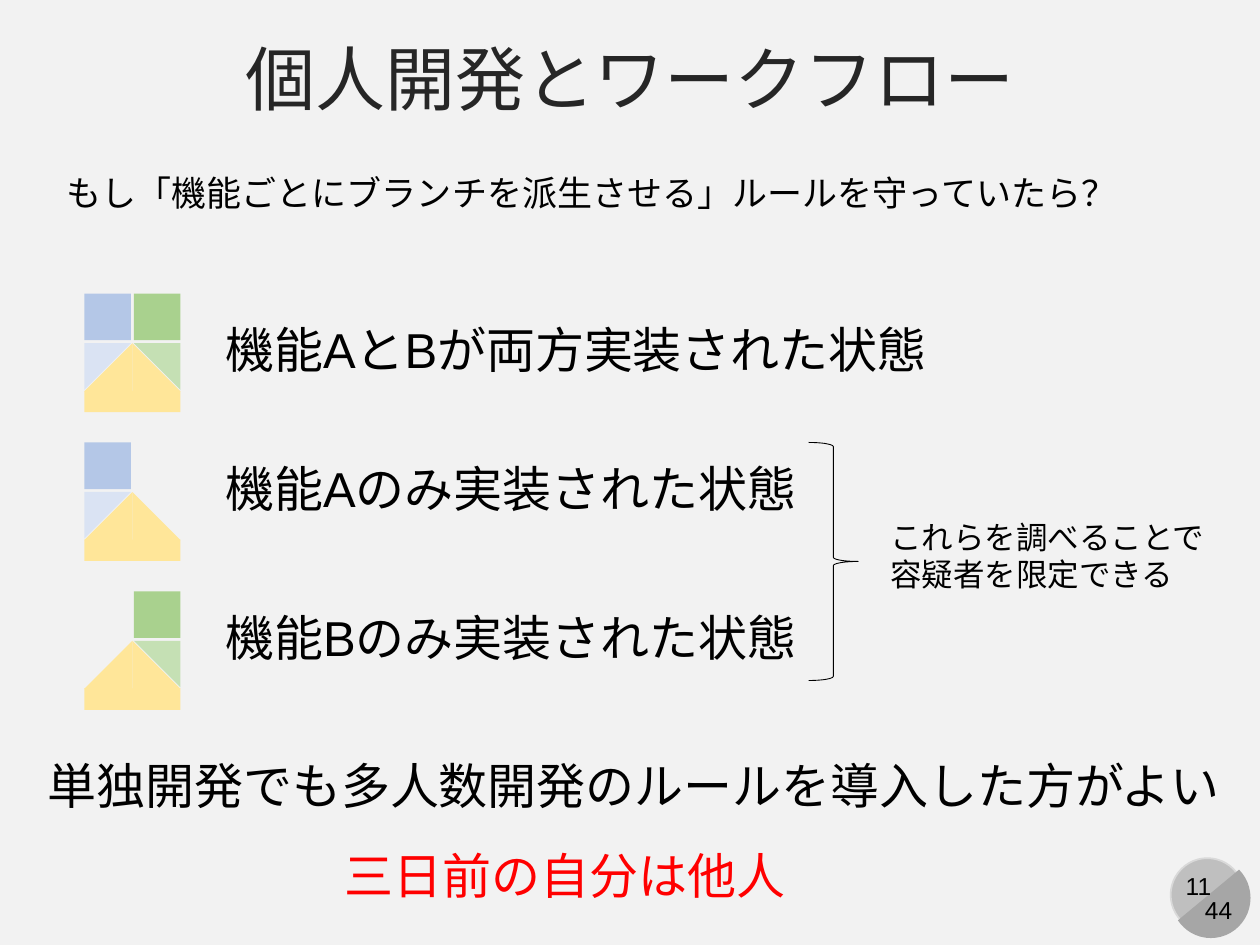
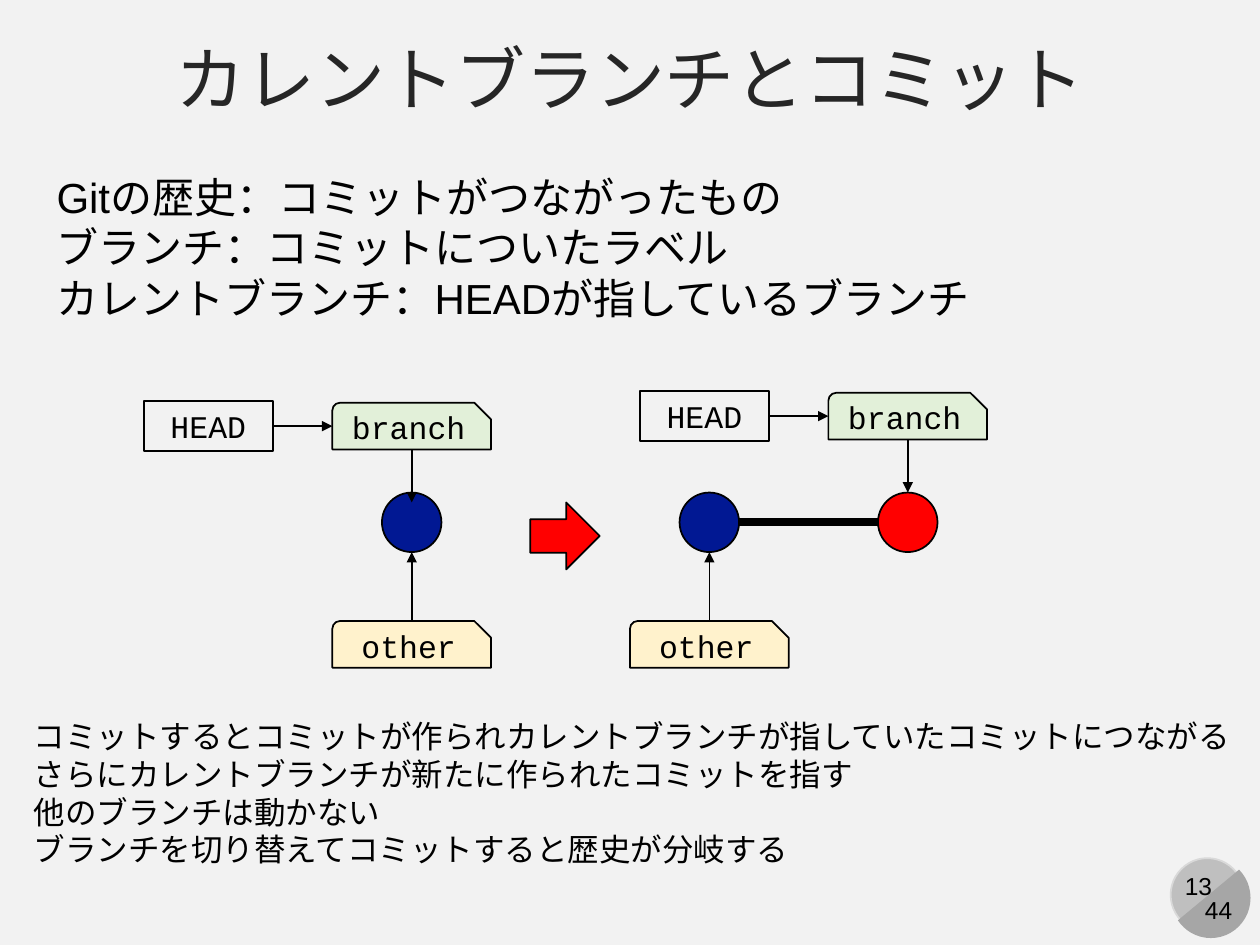
from pptx import Presentation
from pptx.dml.color import RGBColor
from pptx.enum.shapes import MSO_CONNECTOR, MSO_SHAPE
from pptx.enum.text import MSO_ANCHOR, PP_ALIGN
from pptx.oxml.xmlchemy import OxmlElement
from pptx.util import Cm, Pt

RECT, OVAL, TRI = MSO_SHAPE.RECTANGLE, MSO_SHAPE.OVAL, MSO_SHAPE.RIGHT_TRIANGLE
CHORD, BRACE = MSO_SHAPE.CHORD, MSO_SHAPE.RIGHT_BRACE
SNIP, ARROW = MSO_SHAPE.SNIP_ROUND_RECTANGLE, MSO_SHAPE.RIGHT_ARROW
STRAIGHT = MSO_CONNECTOR.STRAIGHT
LEFT, CENTER = PP_ALIGN.LEFT, PP_ALIGN.CENTER
TOP, MIDDLE = MSO_ANCHOR.TOP, MSO_ANCHOR.MIDDLE

PAPER = RGBColor(0xF2, 0xF2, 0xF2)
BLACK = RGBColor(0, 0, 0)
INK = RGBColor(0x26, 0x26, 0x26)
RED = RGBColor(0xFF, 0, 0)
NAVY = RGBColor(0x01, 0x18, 0x93)
RING = RGBColor(0xD9, 0xD9, 0xD9)
GRAY = RGBColor(0xBF, 0xBF, 0xBF)
SHADE = RGBColor(0xA6, 0xA6, 0xA6)
GOLD = RGBColor(0xFF, 0xE6, 0x99)
GREEN = RGBColor(0xA9, 0xD1, 0x8E)
MINT = RGBColor(0xC5, 0xE0, 0xB4)
BLUE = RGBColor(0xB4, 0xC7, 0xE7)
SKY = RGBColor(0xDA, 0xE3, 0xF3)
LEAF = RGBColor(0xE2, 0xF0, 0xD9)
CREAM = RGBColor(0xFF, 0xF2, 0xCC)

SANS, MONO = "Arial", "Courier New"
PAGES = "44"


def cms(*nums):
    return [Cm(n) for n in nums]


def write(shape, text, size=18, font=SANS, color=BLACK, align=LEFT, anchor=TOP):
    frame = shape.text_frame
    frame.word_wrap = True
    frame.vertical_anchor = anchor
    frame.text = text
    for para in frame.paragraphs:
        para.alignment = align
        para.space_before = Pt(0)
        para.font.size = Pt(size)
        para.font.name = font
        para.font.color.rgb = color


def label(slide, box, text, **form):
    write(slide.shapes.add_textbox(*cms(*box)), text, **form)


def draw(shapes, kind, box, fill=None, line=None, width=1, flip="", adjust=()):
    shape = shapes.add_shape(kind, *cms(*box))
    shape.shadow.inherit = False
    if fill is None:
        shape.fill.background()
    else:
        shape.fill.solid()
        shape.fill.fore_color.rgb = fill
    if line is None:
        shape.line.fill.background()
    else:
        shape.line.color.rgb = line
        shape.line.width = Pt(width)
    for axis in flip:
        shape._element.spPr.xfrm.set("flip" + axis, "1")
    for i, value in enumerate(adjust):
        shape.adjustments[i] = value
    return shape


def link(slide, start, end, width=1, head=True):
    line = slide.shapes.add_connector(STRAIGHT, *cms(*start, *end))
    line.line.color.rgb = BLACK
    line.line.width = Pt(width)
    if head:
        tail = OxmlElement("a:tailEnd")
        tail.set("type", "triangle")
        line.line._get_or_add_ln().append(tail)
    line._element.spPr.append(OxmlElement("a:effectLst"))
    return line


def badge(slide, x, y, page):
    draw(slide.shapes, OVAL, (x, y, 1.48, 1.48), GRAY, RING)
    chord = draw(slide.shapes, CHORD, (x, y, 1.62, 1.6), SHADE, adjust=(27, 141.424))
    chord.rotation = 270
    label(slide, (x, y + 0.13, 1.12, 0.86), page, size=14, align=CENTER)
    label(slide, (x + 0.28, y + 0.61, 1.37, 0.86), PAGES, size=14, align=CENTER)


def start(prs, title, page):
    slide = prs.slides.add_slide(prs.slide_layouts[5])
    head = slide.shapes.title
    head.left, head.top, head.width, head.height = cms(0, 0.53, 25.4, 2.08)
    write(head, title, size=40, color=INK, align=CENTER, anchor=MIDDLE)
    badge(slide, 23.6, 17.3, page)
    return slide


def house(slide, x, y, parts):
    side, step, half = 0.94, 1.0, 0.97
    shapes = slide.shapes.add_group_shape().shapes
    draw(shapes, RECT, (x, y + 1.96, 2 * half, 0.43), GOLD)
    draw(shapes, TRI, (x + half, y + step, half, half), GOLD)
    draw(shapes, TRI, (x, y + step, half, half), GOLD, flip="H")
    looks = {"A": (x, BLUE, SKY, "V"), "B": (x + step, GREEN, MINT, "HV")}
    for part in parts:
        left, full, pale, flip = looks[part]
        draw(shapes, TRI, (left, y + step, side, side), pale, flip=flip)
        draw(shapes, RECT, (left, y, side, side), full)


def states(slide, x, y):
    pitch = 3
    rows = [
        ("AB", "機能AとBが両方実装された状態", 14.81, 0.4),
        ("A", "機能Aのみ実装された状態", 12.14, 0.2),
        ("B", "機能Bのみ実装された状態", 12.14, 0.2),
    ]
    for i, (parts, text, width, drop) in enumerate(rows):
        top = y + i * pitch
        house(slide, x, top, parts)
        label(slide, (x + 2.59, top + drop, width, 1.45), text, size=28)
    draw(slide.shapes, BRACE, (x + 14.6, y + pitch, 1, 4.8), line=BLACK, width=0.5)
    label(slide, (x + 16, y + 4.39, 6.95, 1.8),
          "これらを調べることで\n容疑者を限定できる")


def tag(slide, x, y, text, fill):
    shape = draw(slide.shapes, SNIP, (x - 1.6, y - 0.47, 3.2, 0.94),
                 fill, BLACK, adjust=(0.167, 0.359))
    write(shape, text, font=MONO, align=CENTER, anchor=MIDDLE)


def commit(slide, x, y, fill):
    draw(slide.shapes, OVAL, (x - 0.6, y - 0.6, 1.2, 1.2), fill, BLACK)


def graph(slide, x, y, rise, dip=0, ahead=0):
    commit(slide, x, y, NAVY)
    tip = x + ahead
    if ahead:
        commit(slide, tip, y, RED)
        link(slide, (x + 0.6, y), (tip - 0.6, y), width=4.5, head=False)
    row = y - rise
    tag(slide, tip, row, "branch", LEAF)
    link(slide, (tip, row + 0.47), (tip, y - 0.6 + dip))
    head = draw(slide.shapes, RECT, (tip - 5.4, row - 0.5, 2.6, 1), line=BLACK)
    write(head, "HEAD", font=MONO, align=CENTER, anchor=MIDDLE)
    link(slide, (tip - 2.8, row), (tip - 1.6, row)).begin_connect(head, 3)
    tag(slide, x, y + 2.46, "other", CREAM)
    link(slide, (x, y + 1.99), (x, y + 0.6))


def flow(prs):
    slide = start(prs, "個人開発とワークフロー", "11")
    label(slide, (1.09, 3.33, 21.9, 1.1),
          "もし「機能ごとにブランチを派生させる」ルールを守っていたら？", size=20)
    states(slide, 1.7, 5.92)
    label(slide, (0.71, 15.11, 24.46, 1.45),
          "単独開発でも多人数開発のルールを導入した方がよい", size=28)
    label(slide, (6.7, 16.92, 10, 1.45), "三日前の自分は他人", size=28, color=RED)


def branch(prs):
    slide = start(prs, "カレントブランチとコミット", "13")
    label(slide, (0.89, 3.33, 19.13, 3.33),
          "Gitの歴史：コミットがつながったもの\n"
          "ブランチ：コミットについたラベル\n"
          "カレントブランチ：HEADが指しているブランチ", size=24)
    graph(slide, 8.3, 10.53, 1.94, dip=0.2)
    draw(slide.shapes, ARROW, (10.69, 10.13, 1.4, 1.35), RED, BLACK)
    graph(slide, 14.3, 10.53, 2.14, ahead=4)
    label(slide, (0.43, 14.33, 24.87, 3.33),
          "コミットするとコミットが作られカレントブランチが指していたコミットにつながる\n"
          "さらにカレントブランチが新たに作られたコミットを指す\n"
          "他のブランチは動かない\n"
          "ブランチを切り替えてコミットすると歴史が分岐する")


def main():
    prs = Presentation()
    prs.slide_width, prs.slide_height = cms(25.4, 19.05)
    back = prs.slide_master.background.fill
    back.solid()
    back.fore_color.rgb = PAPER
    flow(prs)
    branch(prs)
    prs.save("out.pptx")


if __name__ == "__main__":
    main()
